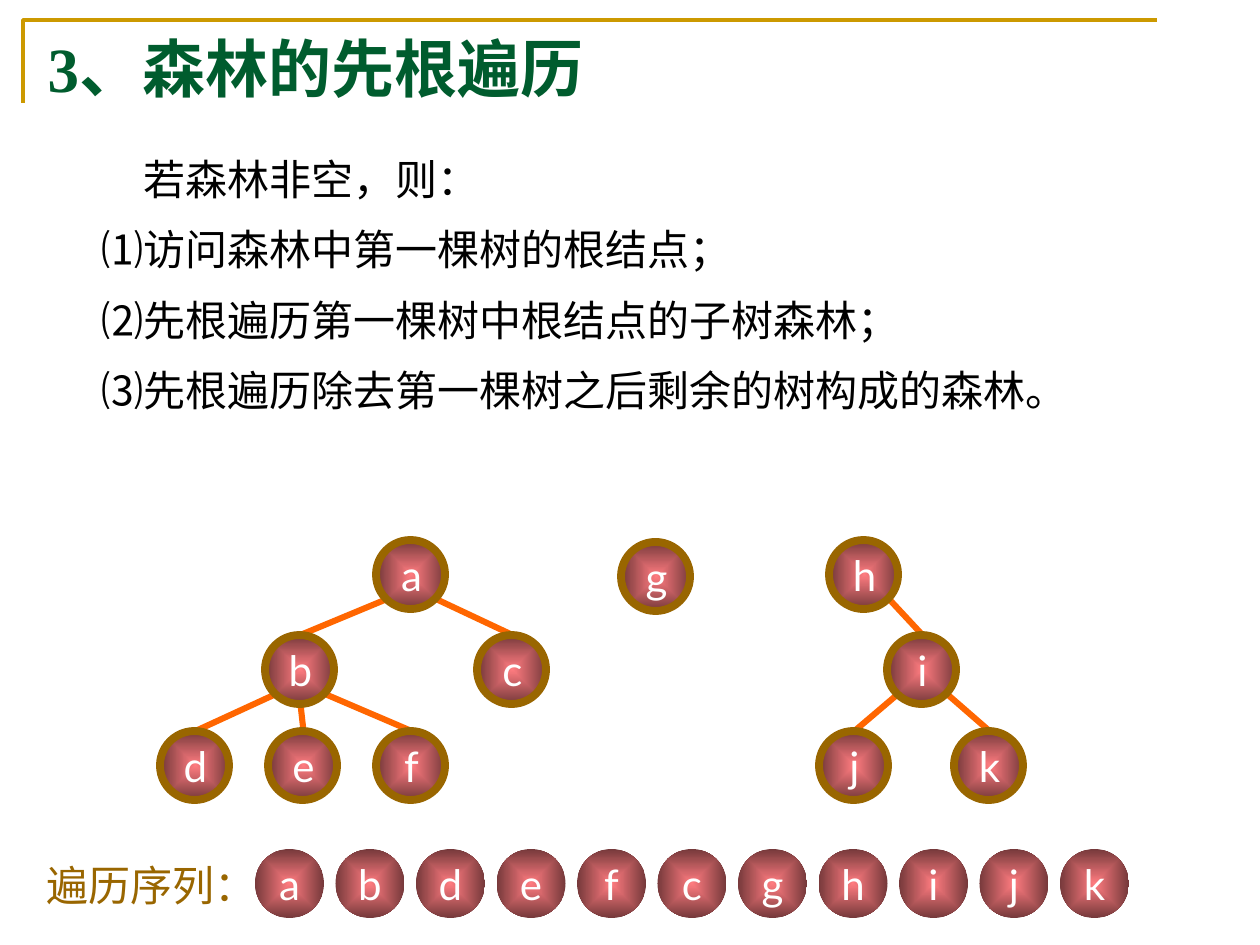
from dataclasses import dataclass

from lxml.etree import SubElement
from pptx import Presentation
from pptx.dml.color import RGBColor
from pptx.enum.shapes import MSO_CONNECTOR as CONN, MSO_SHAPE as SHAPE
from pptx.enum.text import MSO_ANCHOR as ANCHOR, MSO_AUTO_SIZE as AUTO, PP_ALIGN as ALIGN
from pptx.oxml.ns import qn
from pptx.util import Emu, Pt

PX = 914400 / 126


@dataclass(frozen=True)
class Theme:
    frame: str = "CC9900"
    title: str = "005C2E"
    body: str = "000000"
    disc: str = "FF7C80"
    disc_edge: str = "76393B"
    letter: str = "FFFFFF"
    ring: str = "996600"
    edge: str = "FF6600"
    serif: str = "Times New Roman"
    sans: str = "Lato"
    title_pt: int = 36
    text_pt: int = 24
    gap_pt: int = 20


@dataclass(frozen=True)
class Node:
    """A tree node: its letter, its place in the tree's box, and its children."""
    name: str
    x: int
    y: int
    children: tuple = ()


T = Theme()
DISC = 69
CORNER = 10  # inset of a disc's diagonal points from its bounding box
ROW = (0, 95, 191)

TREE_A = Node("a", 216, ROW[0], (
    Node("b", 105, ROW[1], (
        Node("d", 0, ROW[2]), Node("e", 108, ROW[2]), Node("f", 216, ROW[2]))),
    Node("c", 317, ROW[1])))
TREE_G = Node("g", 0, ROW[0])
TREE_H = Node("h", 10, ROW[0], (
    Node("i", 68, ROW[1], (Node("j", 0, ROW[2]), Node("k", 135, ROW[2]))),))
FOREST = ((TREE_A, 161, 540), (TREE_G, 622, 542), (TREE_H, 820, 540))

STEPS = (
    "若森林非空，则：",
    "⑴访问森林中第一棵树的根结点；",
    "⑵先根遍历第一棵树中根结点的子树森林；",
    "⑶先根遍历除去第一棵树之后剩余的树构成的森林。",
)


def px(n):
    return Emu(round(n * PX))


def rgb(color):
    return RGBColor.from_string(color)


def place(sp, x, y, w, h):
    sp.left, sp.top, sp.width, sp.height = px(x), px(y), px(w), px(h)


def style(p, font, size, color, bold=False):
    for r in p.runs:
        r.font.name, r.font.size, r.font.bold = font, Pt(size), bold
        r.font.color.rgb = rgb(color)


def preorder(node):
    yield node
    for child in node.children:
        yield from preorder(child)


def add_frame(slide, x, y, w, h):
    builder = slide.shapes.build_freeform(x, y + h, scale=PX)
    builder.add_line_segments([(x, y), (x + w, y)], close=False)
    sp = builder.convert_to_shape()
    sp.shadow.inherit = False
    sp.fill.background()
    sp.line.color.rgb = rgb(T.frame)
    sp.line.width = Pt(2)


def fill_title(sp, x, y, w, h):
    place(sp, x, y, w, h)
    tf = sp.text_frame
    tf.text = "3、森林的先根遍历"
    tf.auto_size, tf.vertical_anchor = AUTO.NONE, ANCHOR.BOTTOM
    p = tf.paragraphs[0]
    p.alignment, p.line_spacing = ALIGN.LEFT, 1.2
    style(p, T.serif, T.title_pt, T.title, bold=True)


def fill_steps(sp, x, y, w, h):
    place(sp, x, y, w, h)
    tf = sp.text_frame
    tf.text = "\n".join(STEPS)
    tf.auto_size, tf.vertical_anchor = AUTO.NONE, ANCHOR.TOP
    for i, p in enumerate(tf.paragraphs):
        p.alignment, p.line_spacing = ALIGN.LEFT, Pt(T.gap_pt)
        p.space_before, p.space_after = Pt(0), Pt(T.gap_pt)
        pPr = p._p.get_or_add_pPr()
        pPr.set("marL", str(px(42 if i else 84)))
        pPr.set("indent", "0")
        SubElement(pPr, qn("a:buNone"))
        style(p, T.serif, T.text_pt, T.body)


def add_circle(slide, x, y):
    sp = slide.shapes.add_shape(SHAPE.OVAL, px(x), px(y), px(DISC), px(DISC))
    sp.shadow.inherit = False
    return sp


def add_disc(slide, letter, x, y):
    sp = add_circle(slide, x, y)
    sp.line.fill.background()
    sp.fill.gradient()
    for stop, color in zip(sp.fill.gradient_stops, (T.disc, T.disc_edge)):
        stop.color.rgb = rgb(color)
    grad = sp.element.spPr.find(qn("a:gradFill"))
    grad.remove(grad.find(qn("a:lin")))
    centre = SubElement(grad, qn("a:path"), {"path": "rect"})
    SubElement(centre, qn("a:fillToRect"), dict.fromkeys("ltrb", "50000"))
    tf = sp.text_frame
    tf.text = letter
    tf.word_wrap, tf.vertical_anchor = False, ANCHOR.MIDDLE
    tf.paragraphs[0].alignment = ALIGN.CENTER
    style(tf.paragraphs[0], T.sans, T.text_pt, T.letter)


def add_ring(slide, x, y):
    sp = add_circle(slide, x, y)
    sp.fill.background()
    sp.line.color.rgb = rgb(T.ring)
    sp.line.width = Pt(4.5)


def add_edge(slide, parent, child, x, y):
    """Run from the side of the parent that faces the child to the child's top."""
    shift = child.x - parent.x
    if abs(shift) < CORNER:
        dx, dy = DISC / 2, DISC
    else:
        dx, dy = (CORNER if shift < 0 else DISC - CORNER), DISC - CORNER
    line = slide.shapes.add_connector(
        CONN.STRAIGHT, px(x + parent.x + dx), px(y + parent.y + dy),
        px(x + child.x + DISC / 2), px(y + child.y))
    line.line.color.rgb = rgb(T.edge)
    line.line.width = Pt(3.5)
    SubElement(line.element.spPr, qn("a:effectLst"))


def add_tree(slide, root, x, y):
    nodes = list(preorder(root))
    for node in nodes:
        add_disc(slide, node.name, x + node.x, y + node.y)
    for node in nodes:
        for child in node.children:
            add_edge(slide, node, child, x, y)
    for node in nodes:
        add_ring(slide, x + node.x - 1, y + node.y)


def add_sequence(slide, x, y, w):
    """Label at the left, then the letters of the forest in preorder up to width w."""
    box = slide.shapes.add_textbox(px(x), px(y + 4), px(285), px(63))
    tf = box.text_frame
    tf.text = "遍历序列："
    tf.word_wrap = True
    style(tf.paragraphs[0], T.sans, T.text_pt, T.ring)
    letters = [node.name for root, _, _ in FOREST for node in preorder(root)]
    first = x + 221
    pitch = (x + w - DISC - first) / (len(letters) - 1)
    for i, letter in enumerate(letters):
        add_disc(slide, letter, first + i * pitch, y)


def main():
    prs = Presentation()
    prs.slide_width, prs.slide_height = px(1260), px(945)
    slide = prs.slides.add_slide(prs.slide_layouts[1])
    add_frame(slide, 23, 20, 1134, 83)
    fill_title(slide.shapes.title, 35, 0, 1042, 111)
    fill_steps(slide.placeholders[1], 47, 163, 1140, 595)
    for root, x, y in FOREST:
        add_tree(slide, root, x, y)
    add_sequence(slide, 34, 849, 1095)
    prs.save("out.pptx")


if __name__ == "__main__":
    main()
